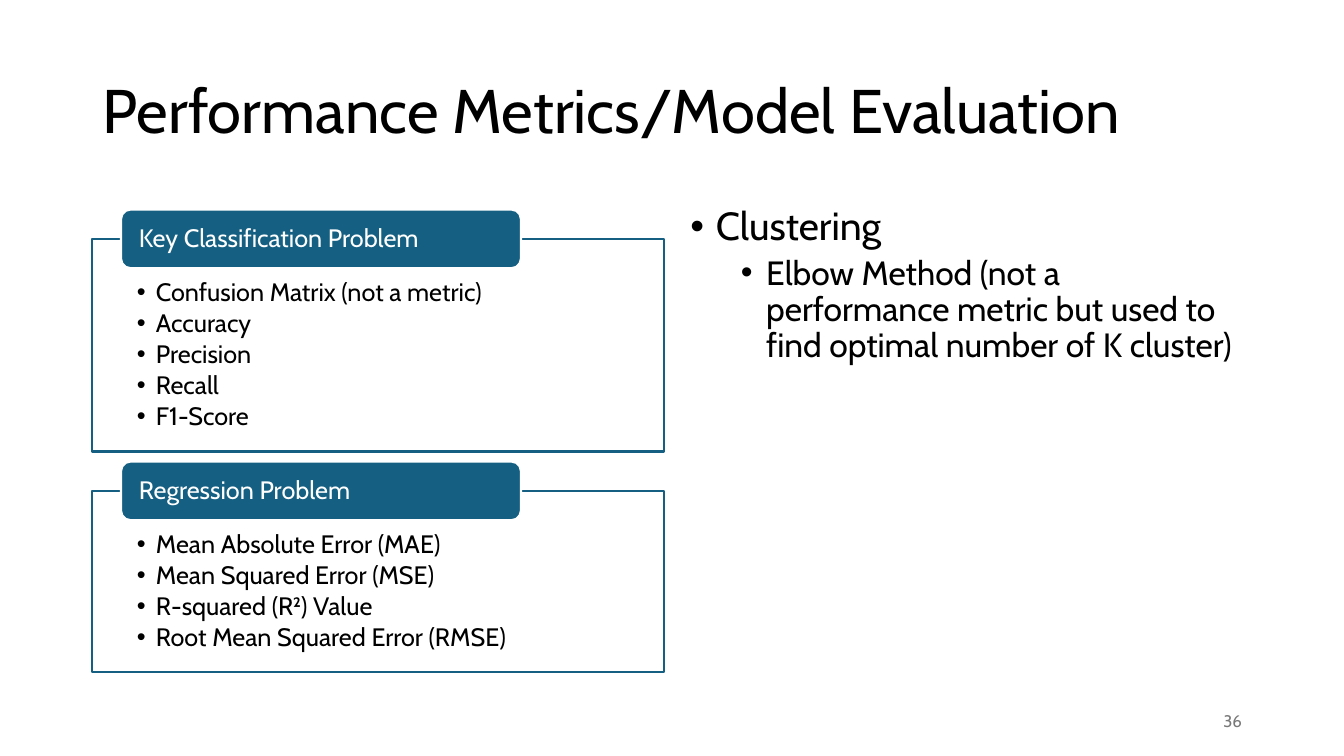
from lxml.etree import SubElement
from pptx import Presentation
from pptx.dml.color import RGBColor
from pptx.enum.shapes import MSO_SHAPE as SHAPE
from pptx.enum.text import MSO_ANCHOR as ANCHOR, PP_ALIGN as ALIGN
from pptx.oxml.ns import qn
from pptx.util import Cm, Pt


def rgb(value):
    """Turn a hex string into a colour."""
    return RGBColor.from_string(value)


class Deck:
    """Hold the style and the current slide."""

    font = "Cabin"
    ink, paper, accent, muted = "000000", "FFFFFF", "156082", "797979"

    def __init__(self, prs):
        """Add a blank slide to the presentation."""
        self.s = prs.slides.add_slide(prs.slide_layouts[6])

    def frame(self, sp, insets, anchor=ANCHOR.TOP):
        """Set the wrapping, insets and anchor of a shape's text."""
        tf = sp.text_frame
        tf.word_wrap = True
        tf.vertical_anchor = anchor
        tf.margin_left, tf.margin_top, tf.margin_right, tf.margin_bottom = map(Cm, insets)
        return tf

    def fill_text(self, p, text, size, color=ink, align=ALIGN.LEFT, spacing=0.9):
        """Fill a paragraph with styled text."""
        p.text = text
        p.alignment = align
        p.line_spacing = spacing
        for r in p.runs:
            r.font.name = self.font
            r.font.size = Pt(size)
            r.font.color.rgb = rgb(color)

    def bullet(self, p, left, hang, level=0):
        """Give a paragraph a hanging bullet."""
        p.level = level
        pPr = p._p.get_or_add_pPr()
        pPr.set("marL", str(Cm(left)))
        pPr.set("indent", str(-Cm(hang)))
        SubElement(pPr, qn("a:buFont"), typeface="Arial")
        SubElement(pPr, qn("a:buChar"), char="•")

    def textbox(self, box, anchor=ANCHOR.TOP):
        """Add a text box and return its text frame."""
        sp = self.s.shapes.add_textbox(*map(Cm, box))
        return self.frame(sp, (0.25, 0.13, 0.25, 0.13), anchor)

    def label(self, box, text, size, **style):
        """Add a vertically centred line of text."""
        self.fill_text(self.textbox(box, ANCHOR.MIDDLE).paragraphs[0], text, size, **style)

    def shape(self, kind, box, fill, line):
        """Add a filled and outlined shape."""
        sp = self.s.shapes.add_shape(kind, *map(Cm, box))
        sp.shadow.inherit = False
        sp.fill.solid()
        sp.fill.fore_color.rgb = rgb(fill)
        sp.line.color.rgb = rgb(line)
        sp.line.width = Pt(1.5)
        return sp

    def card(self, left, top, width, height, heading, items):
        """Add a bulleted card with a heading tab over its top edge."""
        sp = self.shape(SHAPE.RECTANGLE, (left, top, width, height), self.paper, self.accent)
        color = sp._element.spPr.find(qn("a:solidFill")).find(qn("a:srgbClr"))
        SubElement(color, qn("a:alpha"), val="90000")
        tf = self.frame(sp, (1.12, 1.04, 1.12, 0.36))
        for i, item in enumerate(items):
            p = tf.add_paragraph() if i else tf.paragraphs[0]
            self.bullet(p, 0.48, 0.48, 1)
            self.fill_text(p, item, 18)
            p.space_after = Pt(2.7)
        tab = self.shape(SHAPE.ROUNDED_RECTANGLE, (left + 0.72, top - 0.74, 0.7 * width, 1.48),
                         self.accent, self.paper)
        tf = self.frame(tab, (0.38, 0, 0.38, 0), ANCHOR.MIDDLE)
        self.fill_text(tf.paragraphs[0], heading, 18, self.paper)

    def outline(self, box, items):
        """Add a text box of nested bullets."""
        tf = self.textbox(box)
        for i, (level, size, text) in enumerate(items):
            p = tf.add_paragraph() if i else tf.paragraphs[0]
            self.bullet(p, 0.64 + 1.27 * level, 0.64, level)
            self.fill_text(p, text, size)
            if i:
                p.space_before = Pt(5)


def main():
    """Build and save the slide."""
    prs = Presentation()
    prs.slide_width, prs.slide_height = Cm(33.87), Cm(19.05)
    deck = Deck(prs)
    deck.label((2.33, 1.02, 29.21, 3.68), "Performance Metrics/Model Evaluation", 44)
    deck.card(2.33, 6.02, 14.4, 5.36, "Key Classification Problem", [
        "Confusion Matrix (not a metric)", "Accuracy", "Precision", "Recall", "F1-Score"])
    deck.card(2.33, 12.37, 14.4, 4.57, "Regression Problem", [
        "Mean Absolute Error (MAE)", "Mean Squared Error (MSE)",
        "R-squared (R²) Value", "Root Mean Squared Error (RMSE)"])
    deck.outline((17.15, 5.08, 14.4, 12.09), [
        (0, 28, "Clustering"),
        (1, 24, "Elbow Method (not a performance metric but used to find "
                "optimal number of K cluster)")])
    deck.label((23.93, 17.65, 7.62, 1.02), "36", 12, color=deck.muted,
               align=ALIGN.RIGHT, spacing=1.0)
    prs.save("out.pptx")


if __name__ == "__main__":
    main()
